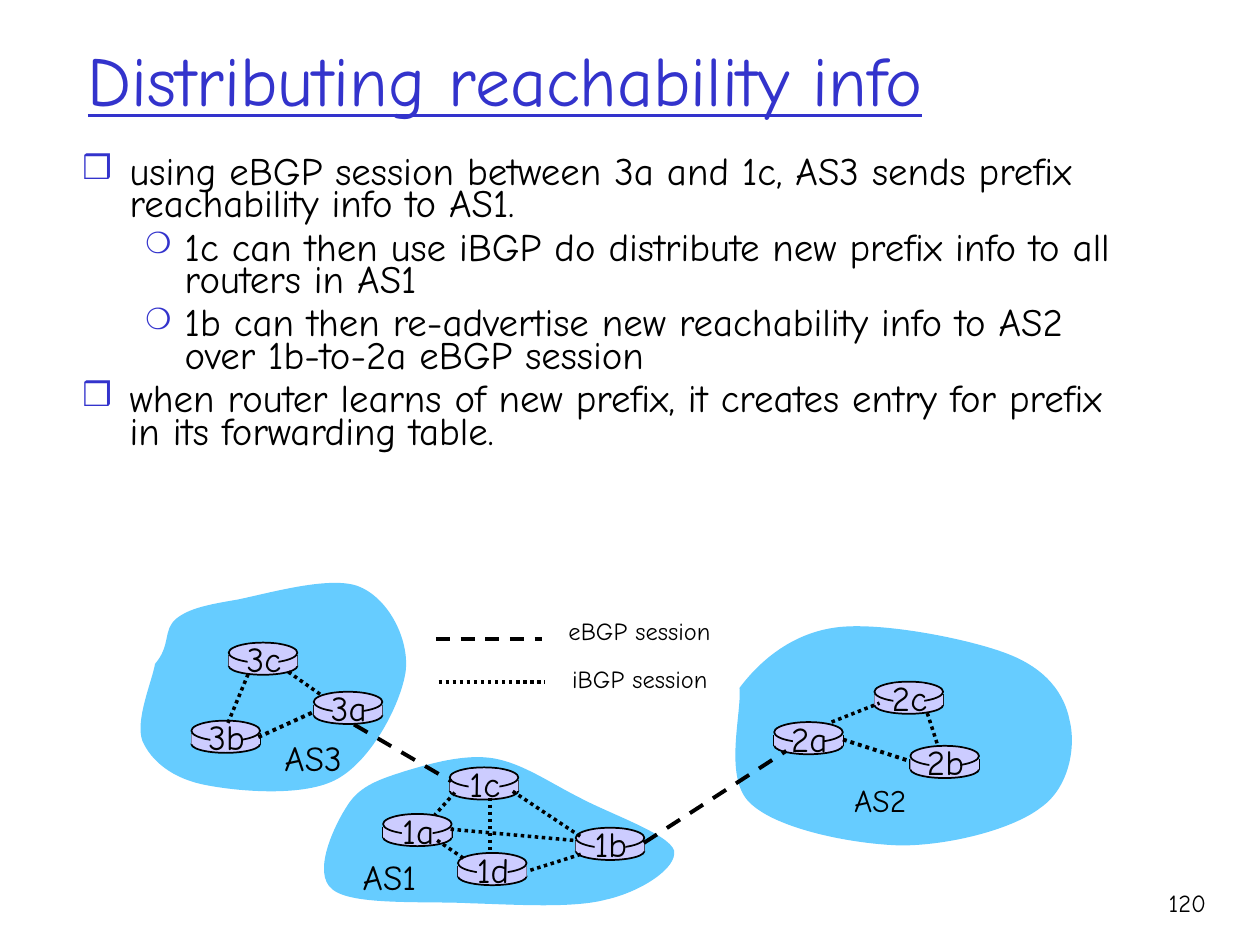
import lxml.etree
import pptx
import pptx.dml.color
import pptx.enum.dml
import pptx.enum.shapes
import pptx.enum.text
import pptx.oxml.ns
import pptx.util

Pt = pptx.util.Pt
SHAPE = pptx.enum.shapes.MSO_SHAPE
ALIGN = pptx.enum.text.PP_ALIGN
ANCHOR = pptx.enum.text.MSO_ANCHOR
GROW = pptx.enum.text.MSO_AUTO_SIZE.SHAPE_TO_FIT_TEXT
DASH = pptx.enum.dml.MSO_LINE.DASH
DOT = pptx.enum.dml.MSO_LINE.ROUND_DOT

FONT = "Comic Neue"
COLORS = {"blue": "3333CC", "ink": "000000", "cloud": "66CCFF", "router": "CCCCFF"}

TITLE = "Distributing reachability info"
BULLETS = [  # level, text
    (0, "using eBGP session between 3a and 1c, AS3 sends prefix reachability info to AS1."),
    (1, "1c can then use iBGP do distribute new prefix info to all routers in AS1"),
    (1, "1b can then re-advertise new reachability info to AS2 over 1b-to-2a eBGP session"),
    (0, "when router learns of new prefix, it creates entry for prefix in its forwarding table."),
]
BULLET_STYLES = [  # margin, hanging indent, symbol, symbol size in %
    (27, 27, "❒", 85),
    (58.5, 22.5, "❍", 75),
]

# Start point, then Bézier segments: two control points and an end point
CLOUDS = {
    "AS2": ((422.6, 393.1), [
        (433.4, 378.7, 451.4, 362.2, 477.4, 358.6),
        (502.6, 355, 553.7, 365, 576, 373.7),
        (598.3, 382.3, 608.4, 396.7, 611.3, 411.8),
        (614.9, 426.2, 611.3, 450, 594.7, 461.5),
        (578.9, 473.8, 542.9, 483.1, 514.8, 483.1),
        (487.4, 482.4, 443.5, 473.8, 428.4, 458.6),
        (413.3, 444.2, 424.1, 406.8, 422.6, 393.1)]),
    "AS3": ((88.6, 379.4), [
        (97.9, 368.6, 92.9, 360, 100.8, 353.5),
        (108, 347.8, 118.1, 345.6, 135.4, 342.7),
        (153.4, 339.1, 190.1, 328.3, 205.9, 335.5),
        (222.5, 342.7, 234, 365.8, 231.8, 383.8),
        (229, 402.5, 212.4, 434.2, 193, 445),
        (174.2, 455.8, 135.4, 452.2, 117.4, 448.6),
        (98.6, 445, 86.4, 434.9, 81.4, 423.4),
        (77, 411.8, 87.1, 388.8, 88.6, 379.4)]),
    "AS1": ((198.7, 460.1), [
        (205.9, 448.6, 218.2, 445, 231.8, 440.6),
        (246.2, 436.3, 265.7, 430.6, 282.2, 433.4),
        (298.8, 436.3, 313.9, 447.1, 331.2, 455.8),
        (348.5, 465.1, 382.3, 476.6, 385.2, 486),
        (387.4, 496.1, 365.8, 509.8, 346.3, 514.1),
        (327.6, 519.1, 295.2, 517, 269.3, 516.2),
        (243.4, 514.8, 201.6, 517.7, 190.1, 508.3),
        (177.8, 499, 191.5, 470.9, 198.7, 460.1)]),
}
ROUTERS = {  # left, top
    "3a": (179.3, 395.3), "3b": (109.4, 411.8), "3c": (130.7, 367.2),
    "1a": (218.9, 465.1), "1b": (329, 473), "1c": (257, 438.5), "1d": (261.7, 487.4),
    "2a": (442.4, 412.6), "2b": (520.2, 426.2), "2c": (499.7, 389.5),
}
LINKS = [  # start x, start y, end x, end y, width, dash
    (202.3, 414, 257.8, 446.4, 2.25, DASH),        # 3a-1c
    (367.9, 481.7, 449.3, 429.1, 2.25, DASH),      # 1b-2a
    (481.7, 422.6, 519.8, 434.9, 2.25, DOT),       # 2a-2b
    (147.6, 421.2, 179.3, 406.8, 2.25, DOT),       # 3b-3a
    (259.9, 452.9, 248.4, 465.8, 2, DOT),          # 1c-1a
    (280.1, 455.8, 280.1, 486.7, 2, DOT),          # 1c-1d
    (293, 452.2, 331.9, 478.1, 2, DOT),            # 1c-1b
    (331.9, 488.2, 302.4, 497.5, 2, DOT),          # 1b-1d
    (327.6, 480.2, 257, 473.8, 2, DOT),            # 1b-1a
    (249.8, 480.2, 265.7, 491, 2, DOT),            # 1a-1d
    (475.2, 412.6, 502.6, 401.8, 2, DOT),          # 2a-2c
    (529.9, 407.5, 535.7, 425.5, 2, DOT),          # 2c-2b
    (182.9, 396.7, 163.4, 383, 2, DOT),            # 3a-3c
    (141.8, 385.2, 129.6, 414.7, 2, DOT),          # 3c-3b
    (249.1, 365.2, 309.6, 365.2, 2, DASH),         # eBGP key
    (250.6, 389.8, 311, 389.8, 2, DOT),            # iBGP key
]
LABELS = [  # text, left, top, width, height, size, alignment
    ("AS3", 155.5, 417.6, 50, 31.7, 20, ALIGN.LEFT),
    ("AS1", 200.2, 485.3, 50, 31.7, 20, ALIGN.LEFT),
    ("AS2", 481, 442.8, 50, 28.8, 18, ALIGN.LEFT),
    ("eBGP session", 317.8, 348.5, 100, 24.5, 14, ALIGN.LEFT),
    ("iBGP session", 319.9, 375.8, 100, 24.5, 14, ALIGN.LEFT),
    ("120", 643, 504, 53.3, 36, 14, ALIGN.RIGHT),
]


def rgb(name):
    return pptx.dml.color.RGBColor.from_string(COLORS[name])


def add_xml(parent, tag, **attributes):
    return lxml.etree.SubElement(parent, pptx.oxml.ns.qn(tag), attributes)


def set_all(target, values):
    for name, value in values.items():
        setattr(target, name, value)


def add_text(shapes, text, box, size, color="ink", frame_format=None,
             paragraph_format=None, underline=None):
    """Add a text box; a list of strings gives one paragraph each."""
    frame = shapes.add_textbox(*map(Pt, box)).text_frame
    set_all(frame, {"word_wrap": True, **(frame_format or {})})
    frame.text = "\n".join(text) if isinstance(text, list) else text
    for paragraph in frame.paragraphs:
        set_all(paragraph, paragraph_format or {})
        font = paragraph.runs[0].font
        set_all(font, {"name": FONT, "size": Pt(size), "underline": underline})
        font.color.rgb = rgb(color)
    return frame


def finish(shape, fill, outlined=False):
    shape.shadow.inherit = False
    shape.fill.solid()
    shape.fill.fore_color.rgb = rgb(fill)
    if outlined:
        shape.line.width = Pt(1)
        shape.line.color.rgb = rgb("ink")
    else:
        shape.line.fill.background()


def add_line(shapes, x1, y1, x2, y2, width, dash=None):
    straight = pptx.enum.shapes.MSO_CONNECTOR.STRAIGHT
    connector = shapes.add_connector(straight, Pt(x1), Pt(y1), Pt(x2), Pt(y2))
    connector.line.color.rgb = rgb("ink")
    set_all(connector.line, {"width": Pt(width), "dash_style": dash})
    add_xml(connector._element.spPr, "a:effectLst")


def add_cloud(shapes, start, segments):
    """Draw the control polygon, then turn each three of its lines into one curve."""
    points = [(Pt(segment[i]), Pt(segment[i + 1])) for segment in segments for i in (0, 2, 4)]
    builder = shapes.build_freeform(Pt(start[0]), Pt(start[1]))
    builder.add_line_segments(points, close=True)
    cloud = builder.convert_to_shape()
    lines = list(cloud._element.iter(pptx.oxml.ns.qn("a:lnTo")))
    for first, second, third in zip(lines[::3], lines[1::3], lines[2::3]):
        curve = lxml.etree.Element(pptx.oxml.ns.qn("a:cubicBezTo"))
        first.addprevious(curve)
        for line in (first, second, third):
            curve.append(line[0])
            line.getparent().remove(line)
    finish(cloud, "cloud")


def add_router(shapes, name, left, top, width=39.2):
    group = shapes.add_group_shape().shapes

    def add_part(kind, dx, dy, part_width, height, outlined=False):
        part = group.add_shape(kind, Pt(left + dx), Pt(top + dy), Pt(part_width), Pt(height))
        finish(part, "router", outlined)

    add_part(SHAPE.OVAL, 0, 8.4, width, 10, True)
    for x in (left, left + width):
        add_line(group, x, top + 7.3, x, top + 13.5, 1)
    add_part(SHAPE.RECTANGLE, 0, 7.3, width, 6.2)
    add_part(SHAPE.OVAL, 0, 0, width, 11.6, True)
    add_part(SHAPE.RECTANGLE, 10.8, 1.2, 17.6, 15)
    add_text(group, name, (left, top - 6.3, width + 1, 31.7), 20,
             frame_format={"word_wrap": False, "auto_size": GROW},
             paragraph_format={"alignment": ALIGN.CENTER})


def add_bullets(shapes):
    frame = add_text(shapes, [text for _, text in BULLETS], (40, 87.4, 612, 186.5), 22.2,
                     paragraph_format={"line_spacing": 0.7, "space_before": Pt(6)})
    for paragraph, (level, _) in zip(frame.paragraphs, BULLETS):
        margin, hanging, symbol, percent = BULLET_STYLES[level]
        paragraph.level = level
        properties = paragraph._p.get_or_add_pPr()
        properties.set("marL", str(Pt(margin)))
        properties.set("indent", str(-Pt(hanging)))
        add_xml(add_xml(properties, "a:buClr"), "a:srgbClr", val=COLORS["blue"])
        add_xml(properties, "a:buSzPct", val=str(percent * 1000))
        add_xml(properties, "a:buFont", typeface=FONT)
        add_xml(properties, "a:buChar", char=symbol)


def main():
    presentation = pptx.Presentation()
    set_all(presentation, {"slide_width": Pt(720), "slide_height": Pt(540)})
    shapes = presentation.slides.add_slide(presentation.slide_layouts[6]).shapes
    add_text(shapes, TITLE, (43.2, 0, 612, 90), 40, "blue",
             {"vertical_anchor": ANCHOR.MIDDLE}, underline=True)
    add_bullets(shapes)
    for start, segments in CLOUDS.values():
        add_cloud(shapes, start, segments)
    for name, (left, top) in ROUTERS.items():
        add_router(shapes, name, left, top)
    for link in LINKS:
        add_line(shapes, *link)
    for text, *box, size, alignment in LABELS:
        add_text(shapes, text, box, size, paragraph_format={"alignment": alignment})
    presentation.save("out.pptx")


if __name__ == "__main__":
    main()
